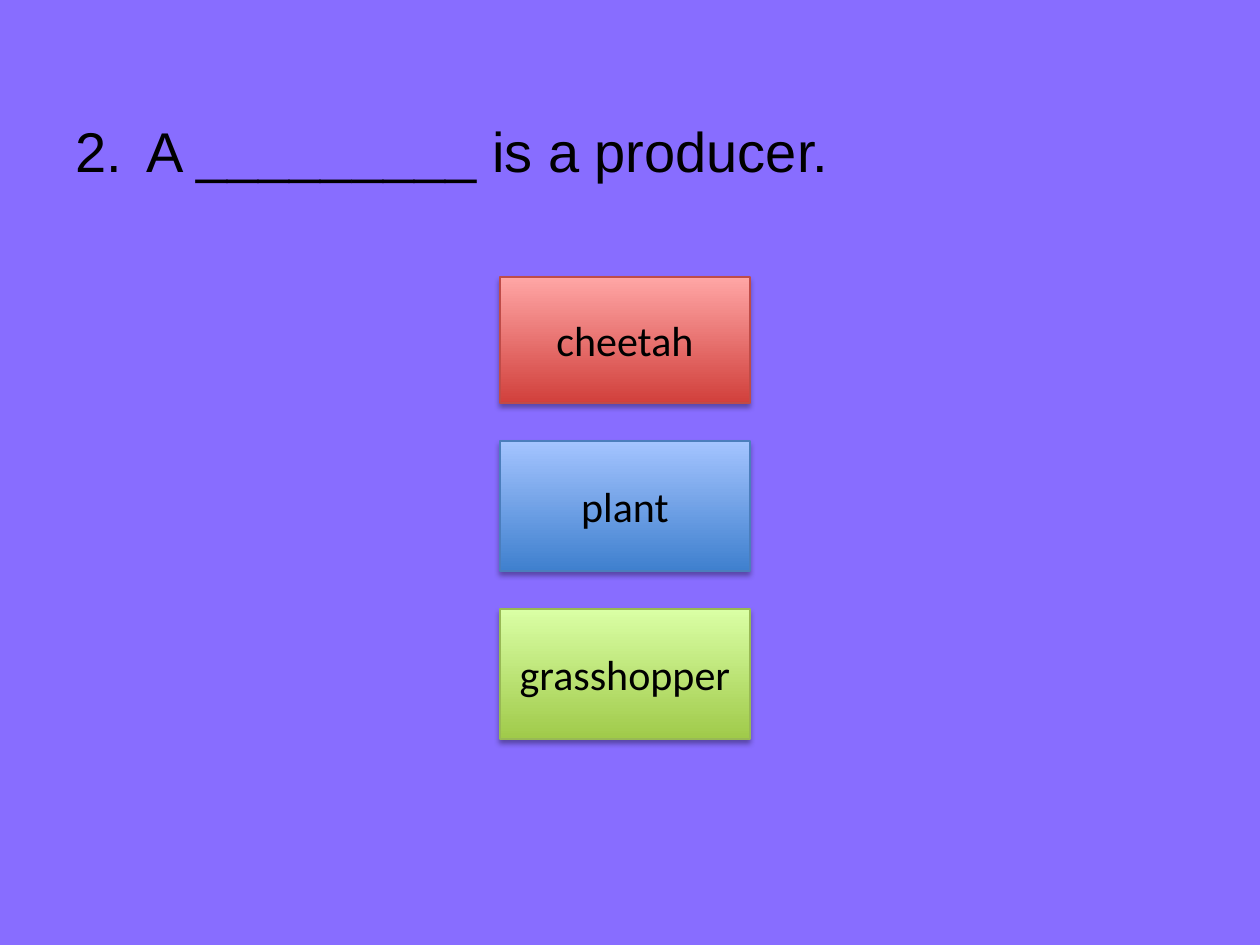
from dataclasses import dataclass

from lxml.etree import SubElement
from pptx import Presentation
from pptx.dml.color import RGBColor
from pptx.enum.shapes import MSO_SHAPE
from pptx.enum.text import MSO_ANCHOR, MSO_AUTO_SIZE, PP_ALIGN
from pptx.oxml.ns import qn
from pptx.util import Pt

PX = 914400 / 126


def emu(pixels):
    return round(pixels * PX)


@dataclass(frozen=True)
class Theme:
    background: str = "886DFF"
    text: str = "000000"
    red: tuple = ("D1403C", "FFA6A5", "BF4C48")
    blue: tuple = ("3F80CE", "A4C4FF", "4B7EBC")
    green: tuple = ("A0CA4A", "DAFFA5", "98B955")
    question_font: str = "Arial"
    answer_font: str = "Calibri"
    question_size: int = 32
    answer_size: int = 24


class QuizSlide:
    def __init__(self, presentation, theme):
        self.theme = theme
        self.slide = presentation.slides.add_slide(presentation.slide_layouts[1])
        background = self.slide.background.fill
        background.solid()
        background.fore_color.rgb = RGBColor.from_string(theme.background)
        title = self.slide.shapes.title.element
        title.getparent().remove(title)

    def format_font(self, paragraph, name, size):
        for run in paragraph.runs:
            run.font.name = name
            run.font.size = Pt(size)
            run.font.color.rgb = RGBColor.from_string(self.theme.text)

    def question(self, number, text, left, top, width, height, indent):
        shape = self.slide.placeholders[1]
        shape.left, shape.top = emu(left), emu(top)
        shape.width, shape.height = emu(width), emu(height)
        text_frame = shape.text_frame
        text_frame.text = text
        text_frame.auto_size = MSO_AUTO_SIZE.NONE
        paragraph = text_frame.paragraphs[0]
        properties = paragraph._p.get_or_add_pPr()
        properties.set("marL", str(emu(indent)))
        properties.set("indent", str(-emu(indent)))
        SubElement(properties, qn("a:buFont"), typeface="+mj-lt")
        SubElement(properties, qn("a:buAutoNum"), type="arabicPeriod", startAt=str(number))
        paragraph.space_before = Pt(0)
        self.format_font(paragraph, self.theme.question_font, self.theme.question_size)

    def add_shadow(self, shape):
        shape.shadow.inherit = False
        effects = shape.element.spPr.find(qn("a:effectLst"))
        shadow = SubElement(effects, qn("a:outerShdw"), blurRad=str(Pt(3.1)),
                            dist=str(Pt(1.8)), dir="5400000", rotWithShape="0")
        color = SubElement(shadow, qn("a:srgbClr"), val="000000")
        SubElement(color, qn("a:alpha"), val="35000")

    def answer(self, text, colors, left, top, width, height):
        shape = self.slide.shapes.add_shape(
            MSO_SHAPE.ACTION_BUTTON_CUSTOM, emu(left), emu(top), emu(width), emu(height))
        bottom_color, top_color, line_color = colors
        shape.fill.gradient()
        shape.fill.gradient_angle = 90
        for stop, position, color in zip(shape.fill.gradient_stops, (0, 1), (bottom_color, top_color)):
            stop.position = position
            stop.color.rgb = RGBColor.from_string(color)
        shape.line.color.rgb = RGBColor.from_string(line_color)
        shape.line.width = Pt(0.75)
        self.add_shadow(shape)
        text_frame = shape.text_frame
        text_frame.text = text
        text_frame.word_wrap = True
        text_frame.vertical_anchor = MSO_ANCHOR.MIDDLE
        paragraph = text_frame.paragraphs[0]
        paragraph.alignment = PP_ALIGN.CENTER
        self.format_font(paragraph, self.theme.answer_font, self.theme.answer_size)


def main():
    presentation = Presentation()
    presentation.slide_width, presentation.slide_height = emu(1260), emu(945)
    theme = Theme()
    quiz = QuizSlide(presentation, theme)
    quiz.question(2, "A _________ is a producer.", 63, 110, 1134, 734, 71)
    top, gap = 277, 38
    answers = (("cheetah", theme.red, 126), ("plant", theme.blue, 130),
               ("grasshopper", theme.green, 130))
    for text, colors, height in answers:
        quiz.answer(text, colors, 500, top, 250, height)
        top += height + gap
    presentation.save("out.pptx")


if __name__ == "__main__":
    main()
